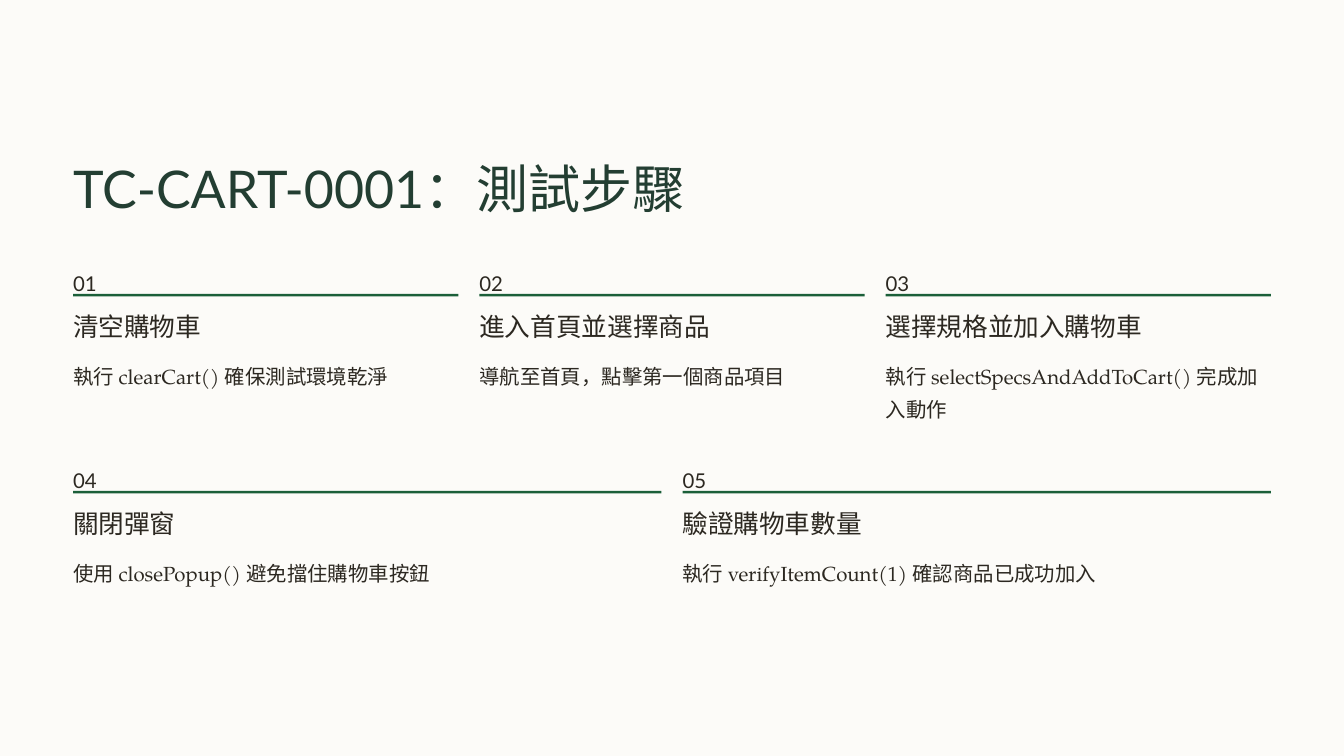
import pptx
import pptx.dml.color
import pptx.enum.shapes
import pptx.enum.text
import pptx.util

INCH = pptx.util.Inches
PT = pptx.util.Pt

# Page grid, in inches
WIDE, HIGH = 16, 9
LEFT, GAP = 0.87, 0.25
SPAN = WIDE - 2 * LEFT
TOP, PITCH = 3.12, 2.345

INK, GREEN, DARK, PAPER = "2C2821", "1B5F39", "233E32", "FCFBF8"
HEAD, BODY = "Lato", "TeX Gyre Pagella"

ROWS = [
    [("清空購物車", "執行 clearCart() 確保測試環境乾淨"),
     ("進入首頁並選擇商品", "導航至首頁，點擊第一個商品項目"),
     ("選擇規格並加入購物車", "執行 selectSpecsAndAddToCart() 完成加入動作")],
    [("關閉彈窗", "使用 closePopup() 避免擋住購物車按鈕"),
     ("驗證購物車數量", "執行 verifyItemCount(1) 確認商品已成功加入")],
]


def paint(fill, color):
    fill.solid()
    fill.fore_color.rgb = pptx.dml.color.RGBColor.from_string(color)


def write(slide, text, box, size, lead, font=HEAD, color=INK, wrap=False):
    shape = slide.shapes.add_textbox(*map(INCH, box))
    frame = shape.text_frame
    frame.margin_left = frame.margin_right = 0
    frame.margin_top = frame.margin_bottom = 0
    frame.auto_size = pptx.enum.text.MSO_AUTO_SIZE.NONE
    frame.word_wrap = wrap
    frame.text = text
    line = frame.paragraphs[0]
    line.line_spacing = PT(lead)
    for run in line.runs:
        run.font.name = font
        run.font.size = PT(size)
        paint(run.font.fill, color)


def rule(slide, x, y, width):
    kind = pptx.enum.shapes.MSO_SHAPE.RECTANGLE
    bar = slide.shapes.add_shape(kind, *map(INCH, (x, y, width, 0.03)))
    bar.shadow.inherit = False
    paint(bar.fill, GREEN)
    bar.line.fill.background()


def step(slide, num, title, note, x, y, width):
    write(slide, f"{num:02}", (x, y, 0.25, 0.31), 17.5, 28.5)
    rule(slide, x, y + 0.38, width)
    write(slide, title, (x, y + 0.57, 3.1, 0.39), 22, 27.5)
    write(slide, note, (x, y + 1.11, width, 0.79), 17.5, 28.5, BODY, wrap=True)


def main():
    deck = pptx.Presentation()
    deck.slide_width, deck.slide_height = INCH(WIDE), INCH(HIGH)
    slide = deck.slides.add_slide(deck.slide_layouts[6])
    paint(slide.background.fill, PAPER)

    # Title
    write(slide, "TC-CART-0001：測試步驟", (LEFT, 1.84, 7.14, 0.78),
          44.5, 55.5, color=DARK)

    # Steps: each row shares the full span equally
    num = 0
    for row, steps in enumerate(ROWS):
        width = (SPAN - GAP * (len(steps) - 1)) / len(steps)
        for col, (title, note) in enumerate(steps):
            num += 1
            step(slide, num, title, note,
                 LEFT + col * (width + GAP), TOP + row * PITCH, width)

    deck.save("out.pptx")


if __name__ == "__main__":
    main()
